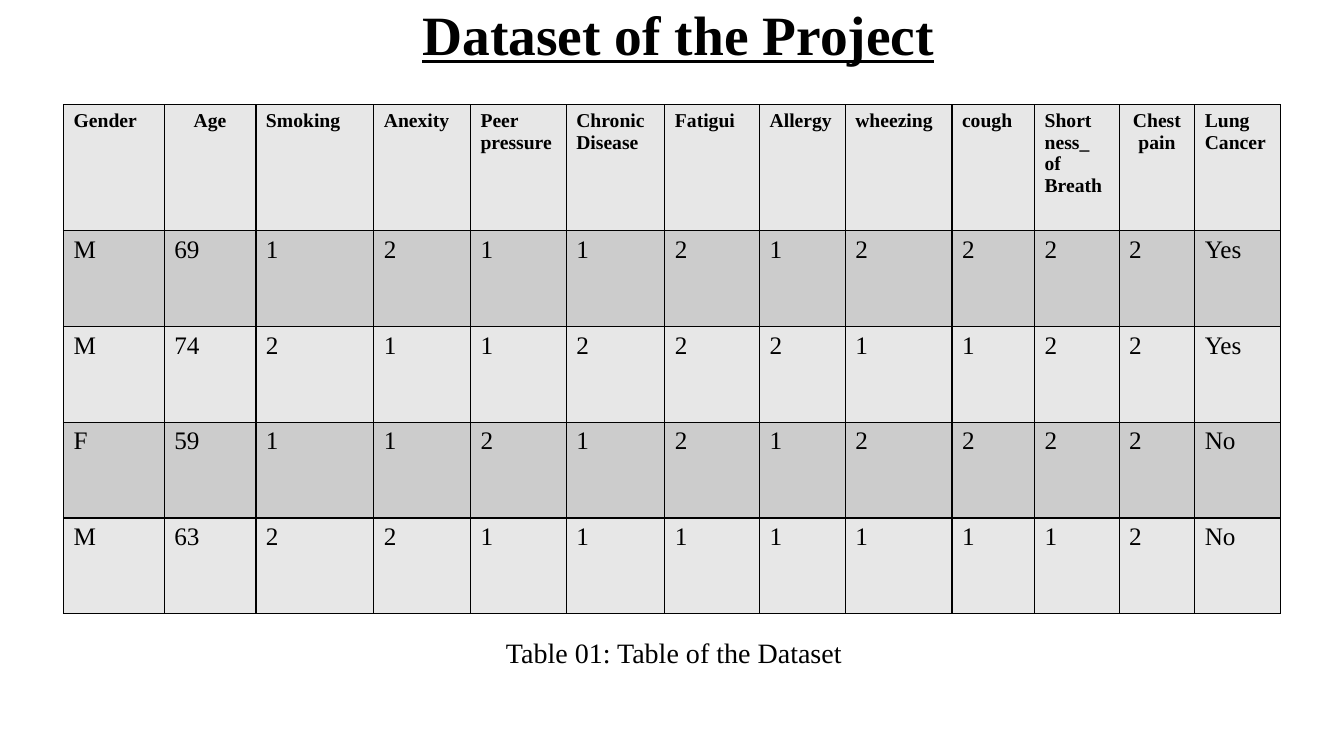
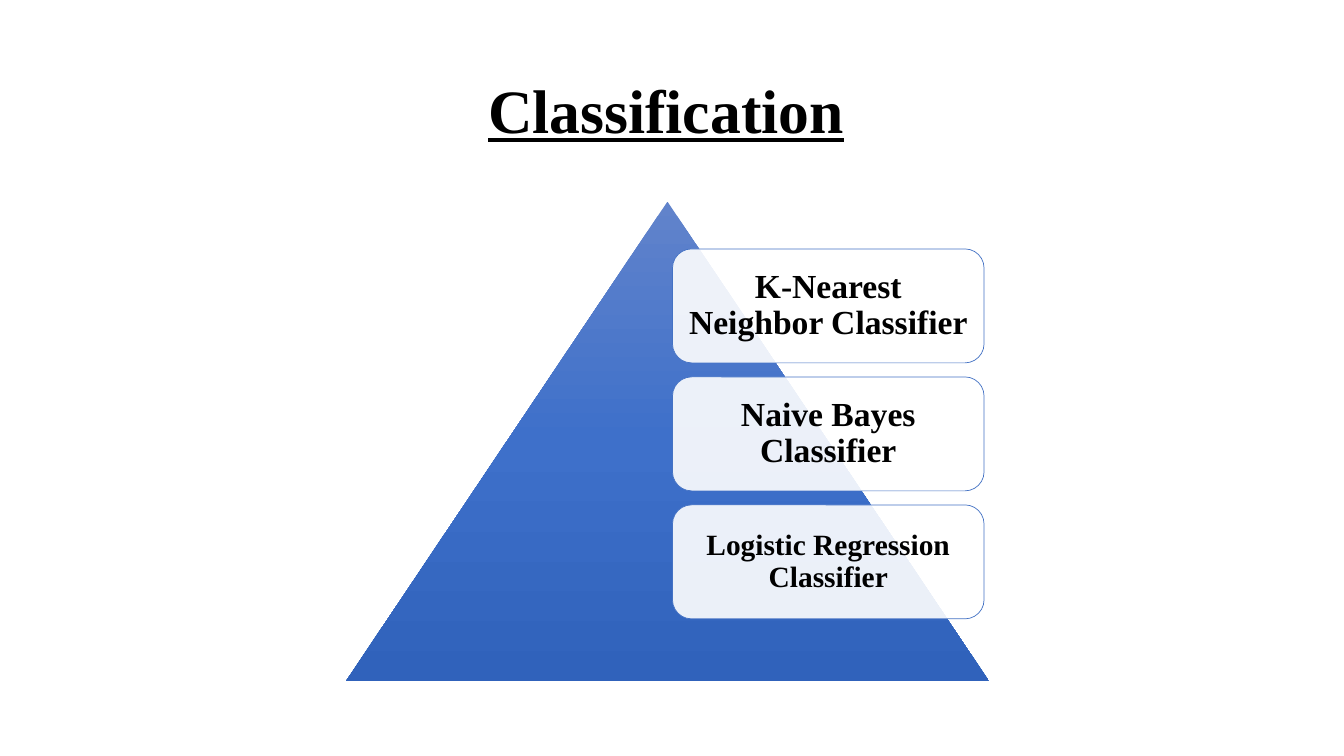
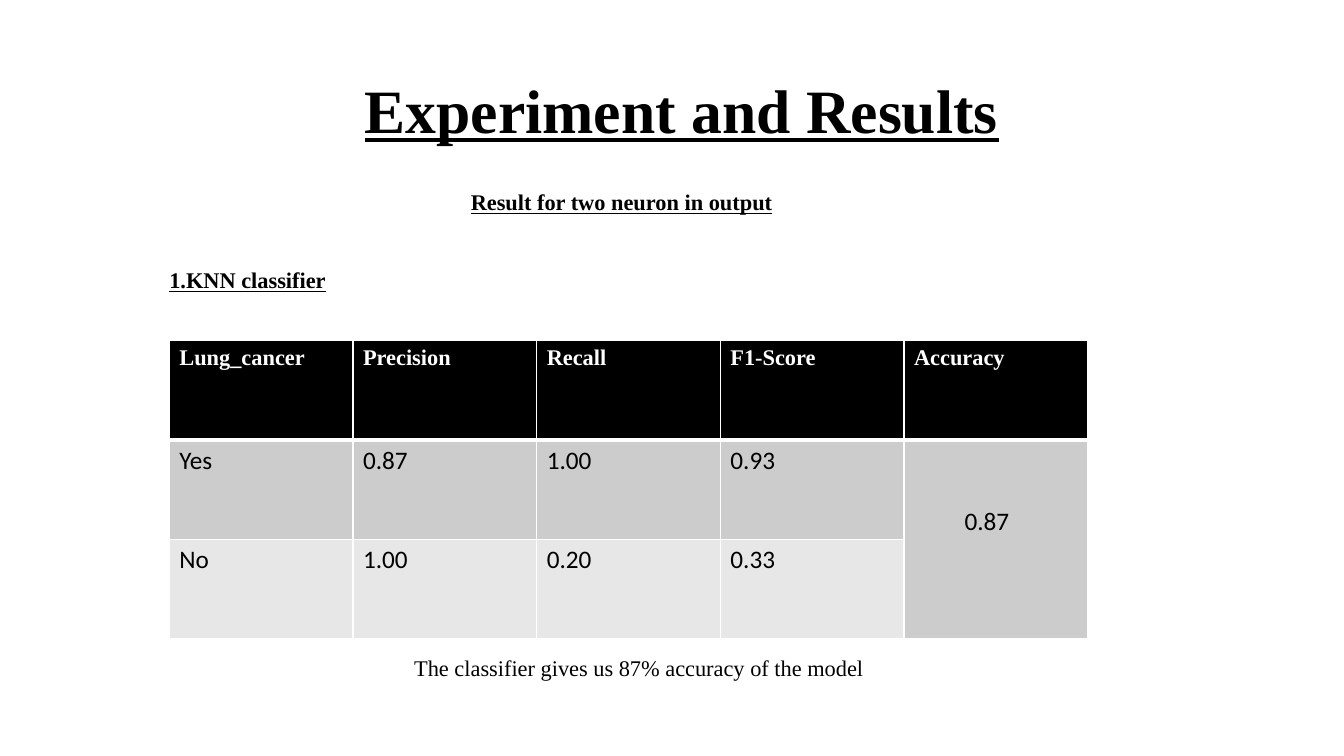
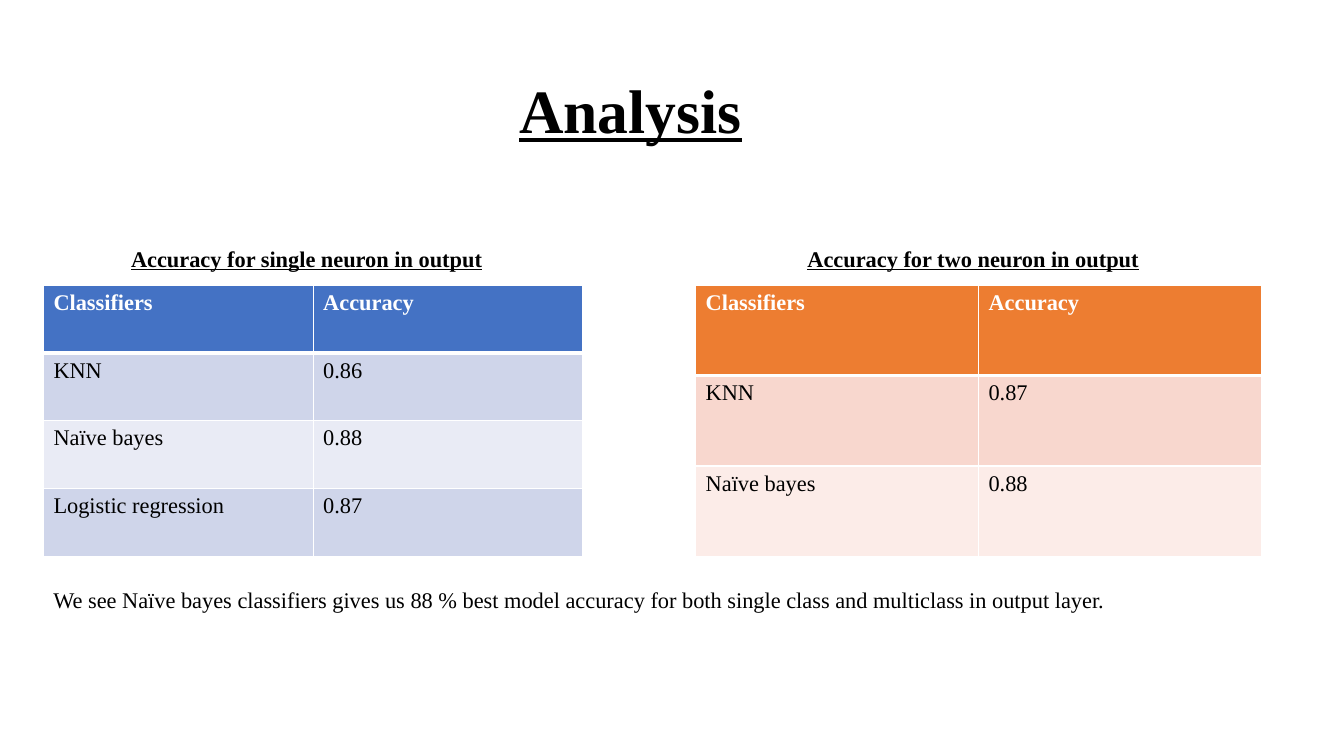
from copy import deepcopy

from lxml import etree
from pptx import Presentation
from pptx import util as u
from pptx.dml.color import RGBColor
from pptx.enum import shapes, text
from pptx.oxml.ns import qn

WIDTH, HEIGHT = u.Inches(13.33), u.Inches(7.5)
SERIF, SANS = "Times New Roman", "Calibri"

BLACK = RGBColor(0x00, 0x00, 0x00)
WHITE = RGBColor(0xFF, 0xFF, 0xFF)
GREY = RGBColor(0xCC, 0xCC, 0xCC)
PALE_GREY = RGBColor(0xE7, 0xE7, 0xE7)
BLUE = RGBColor(0x44, 0x72, 0xC4)
BLUE_BAND = RGBColor(0xCF, 0xD5, 0xEA)
PALE_BLUE = RGBColor(0xE9, 0xEB, 0xF5)
ORANGE = RGBColor(0xED, 0x7D, 0x31)
ORANGE_BAND = RGBColor(0xF8, 0xD7, 0xCE)
PALE_ORANGE = RGBColor(0xFC, 0xEC, 0xE8)
PYRAMID_STOPS = (
    (0, RGBColor(0x61, 0x83, 0xCB)),
    (0.5, RGBColor(0x3E, 0x70, 0xCA)),
    (1, RGBColor(0x30, 0x62, 0xBB)),
)

TITLE_BOX = (6.9, 5.33, 86.25, 19.33)
HEADING = dict(bold=True, underline=True)
CENTER = text.PP_ALIGN.CENTER


def across(percent):
    return round(WIDTH * percent / 100)


def down(percent):
    return round(HEIGHT * percent / 100)


def place(box):
    """Turn left, top, width, height in percent of the slide into lengths."""
    left, top, width, height = box
    return across(left), down(top), across(width), down(height)


def write(frame, content, size=16, font=SERIF, color=BLACK, bold=False,
          underline=False, align=text.PP_ALIGN.LEFT, indent=0,
          space_before=0, line_spacing=1.0, append=False):
    """Write each line of content as a paragraph; indent is in percent of the slide width."""
    for index, line in enumerate(content.split("\n")):
        new = append or index > 0
        paragraph = frame.add_paragraph() if new else frame.paragraphs[0]
        paragraph.alignment = align
        paragraph.line_spacing = line_spacing
        paragraph.space_before = u.Pt(space_before)
        if indent:
            properties = paragraph._p.get_or_add_pPr()
            properties.set("marL", str(across(indent)))
            properties.set("indent", "0")
        run = paragraph.add_run()
        run.text = line
        run.font.size = u.Pt(size)
        run.font.name = font
        run.font.color.rgb = color
        run.font.bold = bold
        run.font.underline = underline


def add_titled_slide(presentation, title, indent, box=TITLE_BOX, size=44):
    slide = presentation.slides.add_slide(presentation.slide_layouts[5])
    shape = slide.shapes.title
    shape.left, shape.top, shape.width, shape.height = place(box)
    frame = shape.text_frame
    frame.auto_size = text.MSO_AUTO_SIZE.NONE
    frame.vertical_anchor = text.MSO_ANCHOR.MIDDLE
    write(frame, title, size=size, indent=indent, line_spacing=0.9, **HEADING)
    return slide


def add_text(slide, box, content, **style):
    frame = slide.shapes.add_textbox(*place(box)).text_frame
    frame.word_wrap = True
    write(frame, content, **style)
    return frame


def set_borders(cell, color, widths):
    """Draw the cell's borders; widths maps a side (L, R, T, B) to points."""
    properties = cell._tc.get_or_add_tcPr()
    for side, width in widths.items():
        line = etree.SubElement(properties, qn(f"a:ln{side}"), w=str(u.Pt(width)))
        fill = etree.SubElement(line, qn("a:solidFill"))
        etree.SubElement(fill, qn("a:srgbClr"), val=str(color))


def add_table(slide, box, rows, fills, columns=None, heights=None,
              border=WHITE, rule=3, header=None, body=None, centered=()):
    """Add a table; fills are header, odd and even rows, columns and heights are weights."""
    left, top, width, height = place(box)
    columns = columns or [1] * len(rows[0])
    heights = heights or [1] * len(rows)
    header = dict(bold=True, color=WHITE) | (header or {})
    table = slide.shapes.add_table(len(rows), len(columns), left, top, width, height).table
    table.first_row = table.horz_banding = False
    for column, weight in zip(table.columns, columns):
        column.width = round(width * weight / sum(columns))
    for row, weight in zip(table.rows, heights):
        row.height = round(height * weight / sum(heights))
    for i, values in enumerate(rows):
        fill = fills[0] if i == 0 else fills[2 - i % 2]
        widths = dict(L=1, R=1, T=rule if i == 1 else 1, B=rule if i == 0 else 1)
        for j, value in enumerate(values):
            cell = table.cell(i, j)
            set_borders(cell, border, widths)
            cell.fill.solid()
            cell.fill.fore_color.rgb = fill
            if value:
                style = dict(header if i == 0 else body or {})
                if i == 0 and j in centered:
                    style["align"] = CENTER
                write(cell.text_frame, value, **style)
    return table


def add_pyramid(slide, box):
    pyramid = slide.shapes.add_shape(shapes.MSO_SHAPE.ISOSCELES_TRIANGLE, *place(box))
    pyramid.shadow.inherit = False
    pyramid.line.fill.background()
    pyramid.fill.gradient()
    pyramid.fill.gradient_angle = 270
    stops = pyramid.element.find(".//" + qn("a:gsLst"))
    stops.insert(1, deepcopy(stops[0]))
    for stop, (position, color) in zip(pyramid.fill.gradient_stops, PYRAMID_STOPS):
        stop.position = position
        stop.color.rgb = color


def add_card(slide, box, label, size):
    """Add a rounded, slightly transparent card with a centred label."""
    card = slide.shapes.add_shape(shapes.MSO_SHAPE.ROUNDED_RECTANGLE, *place(box))
    card.shadow.inherit = False
    card.fill.solid()
    card.fill.fore_color.rgb = WHITE
    color = card.element.spPr.find(qn("a:solidFill") + "/" + qn("a:srgbClr"))
    etree.SubElement(color, qn("a:alpha"), val="90000")
    card.line.color.rgb = BLUE
    card.line.width = u.Pt(0.5)
    frame = card.text_frame
    frame.word_wrap = True
    frame.vertical_anchor = text.MSO_ANCHOR.MIDDLE
    frame.margin_left = frame.margin_right = u.Inches(0.08)
    write(frame, label, size=size, bold=True, align=CENTER, line_spacing=0.9)


def build_dataset(presentation):
    slide = add_titled_slide(presentation, "Dataset of the Project", indent=15,
                             box=(15.68, 1.2, 76.4, 7.6), size=39.6)
    rows = [
        ["Gender", "Age", "Smoking", "Anexity", "Peer pressure", "Chronic\nDisease",
         "Fatigui", "Allergy", "wheezing", "cough", "Short\nness_\nof\nBreath",
         "Chest\npain", "Lung\nCancer"],
        "M 69 1 2 1 1 2 1 2 2 2 2 Yes".split(),
        "M 74 2 1 1 2 2 2 1 1 2 2 Yes".split(),
        "F 59 1 1 2 1 2 1 2 2 2 2 No".split(),
        "M 63 2 2 1 1 1 1 1 1 1 2 No".split(),
    ]
    add_table(slide, (4.73, 13.87, 90.55, 67.33), rows, (PALE_GREY, GREY, PALE_GREY),
              columns=[1, 0.91, 1.17, 0.96, 0.95, 0.98, 0.94, 0.85, 1.06, 0.82,
                       0.84, 0.75, 0.85],
              heights=[1.25] + [0.95] * 4, border=BLACK, rule=1,
              header=dict(size=14, color=BLACK), body=dict(size=18), centered=(1, 11))
    add_text(slide, (15.68, 83.47, 54.8, 5.7), "Table 01: Table of the Dataset",
             size=20, indent=21.23)


def build_classification(presentation):
    slide = add_titled_slide(presentation, "Classification", indent=28.66)
    add_pyramid(slide, (25.73, 26.67, 47.86, 63.47))
    cards = [("K-Nearest Neighbor Classifier", 24), ("Naive Bayes Classifier", 24),
             ("Logistic Regression Classifier", 21)]
    for index, (label, size) in enumerate(cards):
        add_card(slide, (50.04, 32.93 + 16.93 * index, 23.18, 15.07), label, size)


def build_results(presentation):
    slide = add_titled_slide(presentation, "Experiment and Results", indent=19.5)
    frame = add_text(slide, (5.18, 24.67, 87.9, 14), "Result for two neuron in output",
                     indent=29.11, line_spacing=0.9, **HEADING)
    write(frame, "1.KNN classifier", indent=6.68, line_spacing=0.9,
          space_before=38.5, append=True, **HEADING)
    rows = [
        ["Lung_cancer", "Precision", "Recall", "F1-Score", "Accuracy"],
        ["Yes", "0.87", "1.00", "0.93", "0.87"],
        ["No", "1.00", "0.20", "0.33", ""],
    ]
    table = add_table(slide, (12.6, 45.07, 68.34, 39.47), rows, (BLACK, GREY, PALE_GREY),
                      body=dict(size=18, font=SANS))
    accuracy = table.cell(1, 4)
    accuracy.merge(table.cell(2, 4))
    accuracy.margin_left, accuracy.margin_top = u.Inches(0.6), u.Inches(0.66)
    add_text(slide, (30.08, 85.87, 38.26, 4.93),
             "The classifier gives us 87% accuracy of the model")


def build_analysis(presentation):
    slide = add_titled_slide(presentation, "Analysis", indent=30.98)
    heading_top, table_top, table_height = 31.73, 37.73, 35.87
    header = ["Classifiers", "Accuracy"]
    add_text(slide, (3.23, heading_top, 40.14, 4.93),
             "Accuracy for single neuron in output", indent=5.78, **HEADING)
    add_table(slide, (3.23, table_top, 40.14, table_height),
              [header, ["KNN", "0.86"], ["Naïve bayes", "0.88"],
               ["Logistic regression", "0.87"]],
              (BLUE, BLUE_BAND, PALE_BLUE))
    add_text(slide, (59.34, heading_top, 30.08, 4.93),
             "Accuracy for two neuron in output", **HEADING)
    add_table(slide, (51.76, table_top, 42.09, table_height),
              [header, ["KNN", "0.87"], ["Naïve bayes", "0.88"]],
              (ORANGE, ORANGE_BAND, PALE_ORANGE))
    add_text(slide, (3.23, 76.93, 88.97, 4.93),
             "We see Naïve bayes classifiers gives us 88 % best model accuracy "
             "for both single class and multiclass in output layer.")


def main():
    presentation = Presentation()
    presentation.slide_width, presentation.slide_height = WIDTH, HEIGHT
    build_dataset(presentation)
    build_classification(presentation)
    build_results(presentation)
    build_analysis(presentation)
    presentation.save("out.pptx")


if __name__ == "__main__":
    main()
